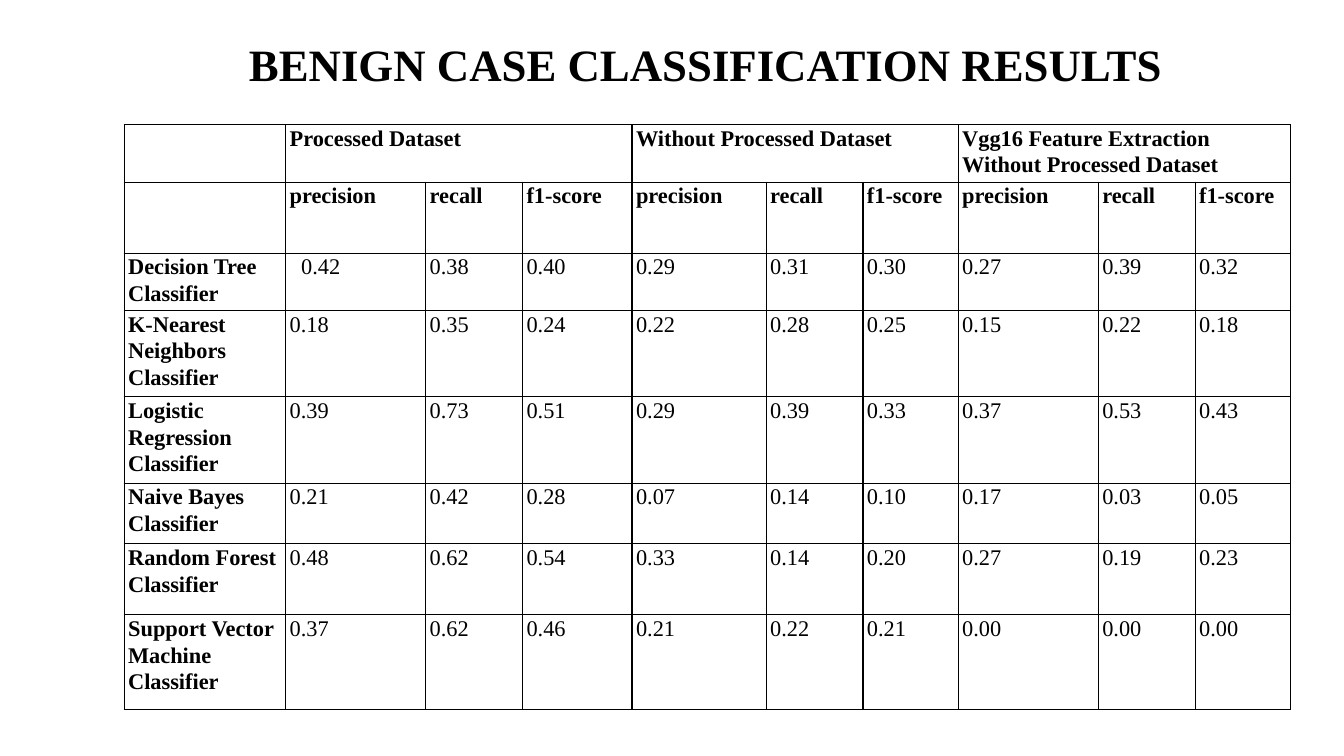
import pptx
import pptx.dml.color
import pptx.enum.text
import pptx.oxml
import pptx.oxml.ns
import pptx.util

Cm = pptx.util.Cm
Pt = pptx.util.Pt


def rgb(color):
    return pptx.dml.color.RGBColor.from_string(color)


def add_run(p, text, size, bold):
    r = p.add_run()
    r.text = text
    r.font.name = "Times New Roman"
    r.font.size = Pt(size)
    r.font.bold = bold
    r.font.color.rgb = rgb("000000")


prs = pptx.Presentation()
prs.slide_width = Cm(33.87)
prs.slide_height = Cm(19.05)
s = prs.slides.add_slide(prs.slide_layouts[6])

title = s.shapes.add_textbox(Cm(2.34), Cm(1.02), Cm(30.89), Cm(2.95))
tf = title.text_frame
tf.word_wrap = True
tf.margin_top = Cm(0.06)
tf.vertical_anchor = pptx.enum.text.MSO_ANCHOR.TOP
p = tf.paragraphs[0]
p.alignment = pptx.enum.text.PP_ALIGN.CENTER
p.line_spacing = 0.9
add_run(p, "BENIGN CASE CLASSIFICATION RESULTS", 32, True)

datasets = [
    "Processed Dataset",
    "Without Processed Dataset",
    "Vgg16 Feature Extraction Without Processed Dataset",
]
metrics = ["precision", "recall", "f1-score"]
scores = [
    ("Decision Tree Classifier", "0.42 0.38 0.40 0.29 0.31 0.30 0.27 0.39 0.32"),
    ("K-Nearest Neighbors Classifier", "0.18 0.35 0.24 0.22 0.28 0.25 0.15 0.22 0.18"),
    ("Logistic Regression Classifier", "0.39 0.73 0.51 0.29 0.39 0.33 0.37 0.53 0.43"),
    ("Naive Bayes Classifier", "0.21 0.42 0.28 0.07 0.14 0.10 0.17 0.03 0.05"),
    ("Random Forest Classifier", "0.48 0.62 0.54 0.33 0.14 0.20 0.27 0.19 0.23"),
    ("Support Vector Machine Classifier", "0.37 0.62 0.46 0.21 0.22 0.21 0.00 0.00 0.00"),
]
rows = [[""], [""] + metrics * len(datasets)]
for dataset in datasets:
    rows[0] += [dataset, "", ""]
for classifier, values in scores:
    rows.append([classifier] + values.split())

col_widths = [4.07, 3.53, 2.44, 2.76, 3.38, 2.44, 2.4, 3.53, 2.44, 2.4]
row_heights = [1.39, 1.79, 1.38, 2.1, 2.1, 1.53, 1.79, 2.39]
frame = s.shapes.add_table(
    len(rows), len(col_widths), Cm(3.13), Cm(3.14), Cm(sum(col_widths)), Cm(sum(row_heights))
)
table = frame.table
table.first_row = False
table.horz_banding = False
for column, width in zip(table.columns, col_widths):
    column.width = Cm(width)
for row, height in zip(table.rows, row_heights):
    row.height = Cm(height)

for i, texts in enumerate(rows):
    for j, text in enumerate(texts):
        cell = table.cell(i, j)
        cell.margin_left = cell.margin_right = Cm(0.1)
        cell.margin_top = cell.margin_bottom = 0
        tcPr = cell._tc.get_or_add_tcPr()
        for side in "LRTB":
            tcPr.append(pptx.oxml.parse_xml(
                f'<a:ln{side} {pptx.oxml.ns.nsdecls("a")} w="12700"><a:solidFill>'
                f'<a:srgbClr val="000000"/></a:solidFill></a:ln{side}>'
            ))
        cell.fill.background()
        if text:
            p = cell.text_frame.paragraphs[0]
            p.line_spacing = 1.07
            add_run(p, text, 16, i < 2 or j == 0)

for j in range(1, len(col_widths), len(metrics)):
    table.cell(0, j).merge(table.cell(0, j + len(metrics) - 1))
table.cell(2, 1).margin_left = Cm(0.39)

prs.save("out.pptx")
